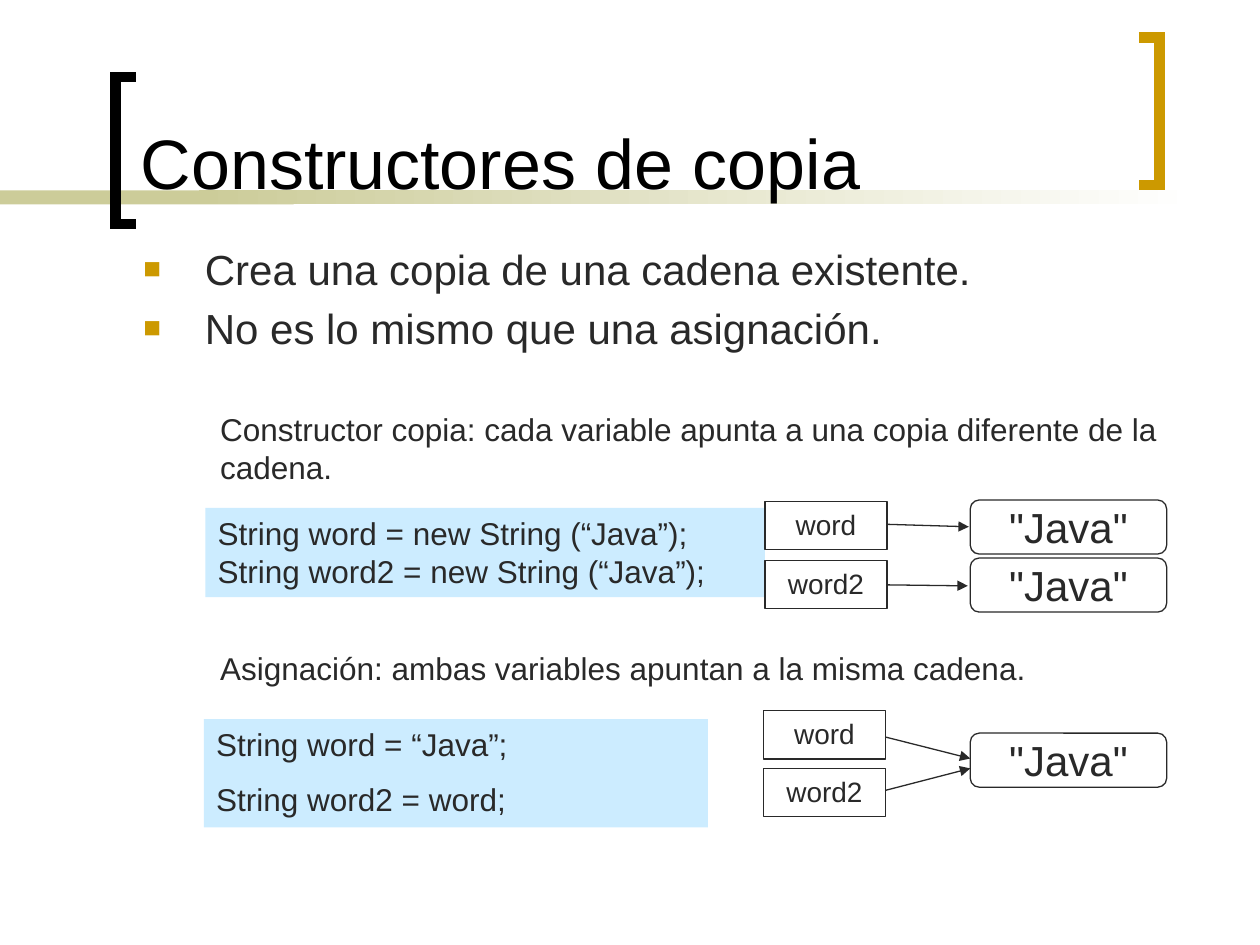
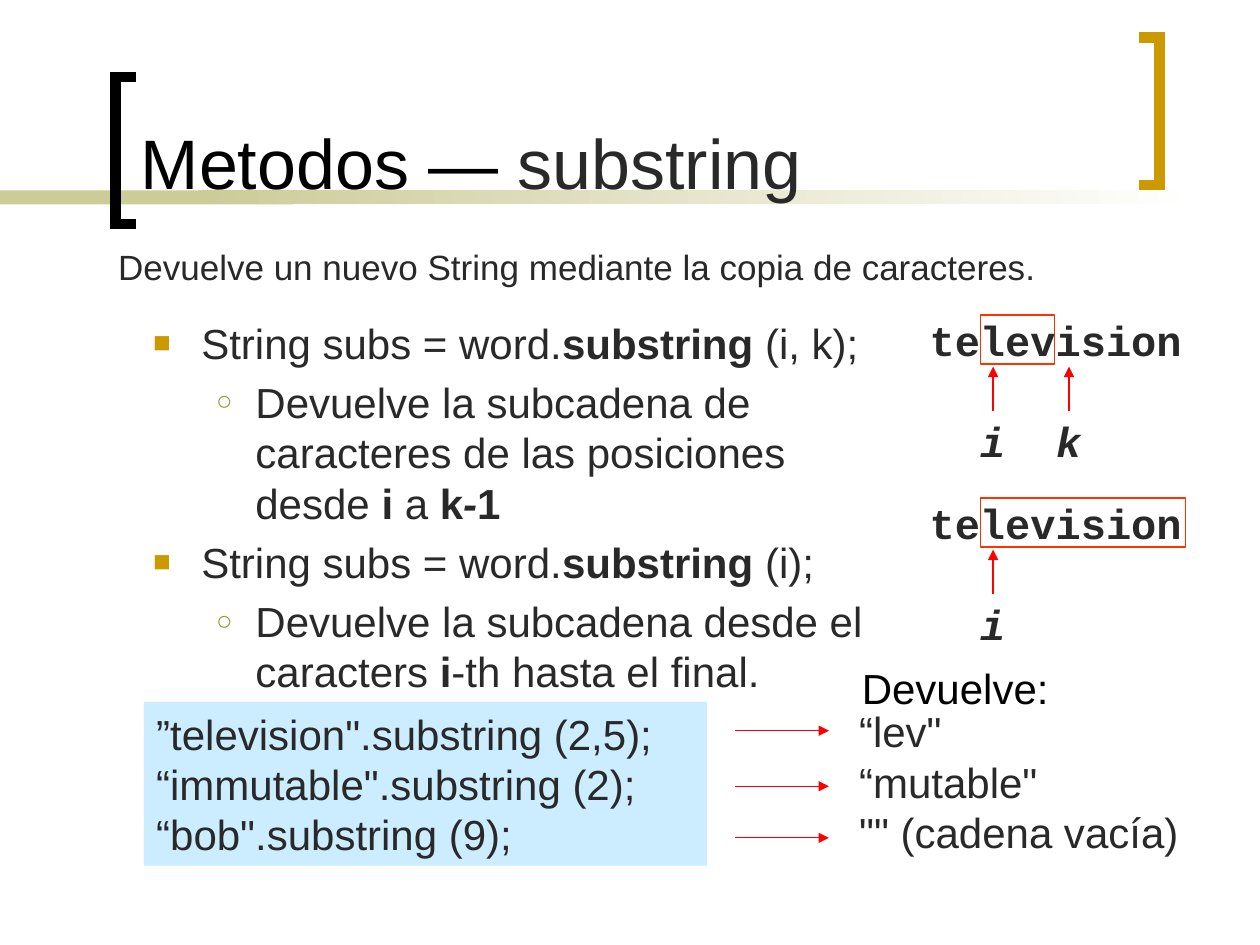
import lxml.etree
import pptx
import pptx.dml.color
import pptx.enum.shapes
import pptx.enum.text
import pptx.oxml.ns
import pptx.util

Cm = pptx.util.Cm
Pt = pptx.util.Pt
qn = pptx.oxml.ns.qn
SHAPES = pptx.enum.shapes.MSO_SHAPE
ALIGN = pptx.enum.text.PP_ALIGN
ANCHOR = pptx.enum.text.MSO_ANCHOR

INK, BLACK, GOLD, OLIVE = "292929", "000000", "CC9900", "999933"
SAND, WHITE, SKY = "CCCC99", "FFFFFF", "CCECFF"
RED, ORANGE = "FF0000", "FF3300"

# Bullets: left indent, hanging indent (cm), sign, colour, size in percent
WIDE_BULLET = (1.24, 1.24, "■", GOLD, 70)
SQUARE_BULLET = (0.97, 0.97, "■", GOLD, 70)
CIRCLE_BULLET = (2.06, 0.79, "○", OLIVE, 65)


def colour(value):
    return pptx.dml.color.RGBColor.from_string(value)


def write(page, text, at, size=18, font="Arial", ink=INK, bold=False, italic=False,
          align=ALIGN.LEFT, anchor=ANCHOR.TOP, gap=0, bullets=(), accent=None,
          shape=None, fill=None, line=None):
    """Put text in a box; words between asterisks turn bold, or take the accent colour."""
    area = [Cm(length) for length in at]
    if shape is None:
        box = page.shapes.add_textbox(*area)
    else:
        box = page.shapes.add_shape(shape, *area)
        box.shadow.inherit = False
        if fill:
            box.fill.solid()
            box.fill.fore_color.rgb = colour(fill)
        else:
            box.fill.background()
        if line:
            box.line.color.rgb = colour(line)
            box.line.width = Pt(0.75)
        else:
            box.line.fill.background()
    frame = box.text_frame
    frame.word_wrap = True
    frame.vertical_anchor = anchor
    for number, words in enumerate(text.split("\n")):
        para = frame.add_paragraph() if number else frame.paragraphs[0]
        para.alignment = align
        if number and gap:
            para.space_before = Pt(gap)
        for part, piece in enumerate(words.split("*")):
            if not piece:
                continue
            marked = part % 2 == 1
            span = para.add_run()
            span.text = piece
            span.font.name = font
            span.font.size = Pt(size)
            span.font.bold = bold or (marked and accent is None)
            span.font.italic = italic
            span.font.color.rgb = colour(accent if marked and accent else ink)
        if bullets:
            left, hanging, sign, tint, percent = bullets[number]
            props = para._p.get_or_add_pPr()
            props.set("marL", str(Cm(left)))
            props.set("indent", str(-Cm(hanging)))
            holder = lxml.etree.SubElement(props, qn("a:buClr"))
            lxml.etree.SubElement(holder, qn("a:srgbClr"), val=tint)
            lxml.etree.SubElement(props, qn("a:buSzPct"), val=str(percent * 1000))
            lxml.etree.SubElement(props, qn("a:buFont"), typeface="Arial")
            lxml.etree.SubElement(props, qn("a:buChar"), char=sign)
    return box


deck = pptx.Presentation()
deck.slide_width, deck.slide_height = Cm(25.4), Cm(19.05)

# Frame and title of every slide
pages = []
for title in ("Constructores de copia", "Metodos — *substring*"):
    page = deck.slides.add_slide(deck.slide_layouts[6])
    pages.append(page)
    write(page, "", (0, 3.84, 5.92, 0.28), shape=SHAPES.RECTANGLE, fill=SAND)
    fade = write(page, "", (4.01, 3.84, 20.12, 0.28), shape=SHAPES.RECTANGLE, fill=SAND)
    fade.fill.gradient()
    fade.fill.gradient_angle = 0
    for stop, tint in zip(fade.fill.gradient_stops, (SAND, WHITE)):
        stop.color.rgb = colour(tint)
    for tip, spine, top, tint in ((2.74, 2.33, 1.55, BLACK), (22.96, 23.37, 0.76, GOLD)):
        bottom = top + 2.97
        outline = page.shapes.build_freeform(Cm(tip), Cm(top))
        outline.add_line_segments(
            [(Cm(x), Cm(y)) for x, y in ((spine, top), (spine, bottom), (tip, bottom))],
            close=False)
        bracket = outline.convert_to_shape()
        bracket.shadow.inherit = False
        bracket.fill.background()
        bracket.line.color.rgb = colour(tint)
        bracket.line.width = Pt(6)
        lxml.etree.SubElement(bracket.line._ln, qn("a:miter"), lim="800000")
    write(page, title, (2.59, 0.28, 19.89, 3.94), size=40, ink=BLACK, accent=INK,
          anchor=ANCHOR.BOTTOM)
copying, cutting = pages

# Slide 1: points, explanations and code
write(copying, "Crea una copia de una cadena existente.\nNo es lo mismo que una asignación.",
      (2.64, 4.78, 21.29, 3), size=24, gap=5, bullets=[WIDE_BULLET] * 2)
write(copying, "Constructor copia: cada variable apunta a una copia diferente de la cadena.",
      (4.19, 8.15, 20.09, 1.8))
write(copying, "String word = new String (“Java”);\nString word2 = new String (“Java”);",
      (4.14, 10.24, 11.28, 1.8), shape=SHAPES.RECTANGLE, fill=SKY)
write(copying, "Asignación: ambas variables apuntan a la misma cadena.",
      (4.19, 12.95, 17.02, 1.02))
write(copying, "String word = “Java”;\nString word2 = word;",
      (4.11, 14.5, 10.16, 2.18), gap=9.5, shape=SHAPES.RECTANGLE, fill=SKY)

# Slide 1: variables and the strings they point to
for name, left, top in (("word", 15.42, 10.11), ("word2", 15.42, 11.3),
                        ("word", 15.39, 14.33), ("word2", 15.39, 15.49)):
    write(copying, name, (left, top, 2.46, 0.97), size=16, align=ALIGN.CENTER,
          shape=SHAPES.RECTANGLE, line=INK)
for top in (10.08, 11.25, 14.78):
    write(copying, '"Java"', (19.56, top, 3.96, 1.09), size=24, align=ALIGN.CENTER,
          anchor=ANCHOR.MIDDLE, shape=SHAPES.ROUNDED_RECTANGLE, line=INK)
arrows = [(copying, INK, ends) for ends in (
    (17.9, 10.57, 19.53, 10.62), (17.88, 11.79, 19.51, 11.81),
    (17.86, 14.86, 19.56, 15.29), (17.86, 15.93, 19.56, 15.49))]

# Slide 2: introduction and both forms of the method
write(cutting, "Devuelve un nuevo String mediante la copia de caracteres.",
      (2.13, 4.83, 21.77, 1.12), size=20)
forms = write(
    cutting,
    "String subs = word.*substring* (i, k);\n"
    "Devuelve la subcadena de caracteres de las posiciones desde *i* a *k**-**1*\n"
    "String subs = word.*substring* (i);\n"
    "Devuelve la subcadena desde el caracters *i*-th hasta el final.",
    (2.84, 6.27, 15.52, 7.87), size=24, gap=5, bullets=[SQUARE_BULLET, CIRCLE_BULLET] * 2)
forms.text_frame.paragraphs[1].runs[4].font.italic = True

# Slide 2: the word with its marked letters and index pointers
letter = 0.51
for top, marked_width, indexes in ((6.22, 1.5, (("i", 2), ("k", 5))),
                                   (9.91, 4.14, (("i", 2),))):
    write(cutting, "television", (18.49, top, 6, 1.2), size=24, font="Courier New", bold=True)
    write(cutting, "", (19.76, top + 0.13, marked_width, 0.99),
          shape=SHAPES.RECTANGLE, line=ORANGE)
    for index, place in indexes:
        left = 18.49 + place * letter
        write(cutting, index, (left, top + 2.04, 1.2, 1.2), size=24,
              font="Courier New", bold=True, italic=True)
        middle = left + 0.51
        arrows.append((cutting, RED, (middle, top + 2.06, middle, top + 1.17)))

# Slide 2: calls and their results
write(cutting, "”television\".substring (2,5);\n“immutable\".substring (2);\n“bob\".substring (9);",
      (2.9, 14.15, 11.35, 3.3), size=24, shape=SHAPES.RECTANGLE, fill=SKY)
write(cutting, "Devuelve:", (16.69, 13.23, 5.13, 1.27), size=24, ink=BLACK,
      align=ALIGN.CENTER)
write(cutting, "“lev\"\n“mutable\"\n\"\" (cadena vacía)", (17.07, 14.1, 7.19, 3.33), size=24)
arrows += [(cutting, RED, (14.81, y, 16.71, y)) for y in (14.73, 15.85, 16.89)]

# Arrows of both slides
for page, tint, ends in arrows:
    arrow = page.shapes.add_connector(pptx.enum.shapes.MSO_CONNECTOR.STRAIGHT,
                                      *[Cm(length) for length in ends])
    arrow.line.color.rgb = colour(tint)
    arrow.line.width = Pt(0.75)
    lxml.etree.SubElement(arrow.line._ln, qn("a:tailEnd"), type="triangle")
    lxml.etree.SubElement(arrow._element.spPr, qn("a:effectLst"))

deck.save("out.pptx")
